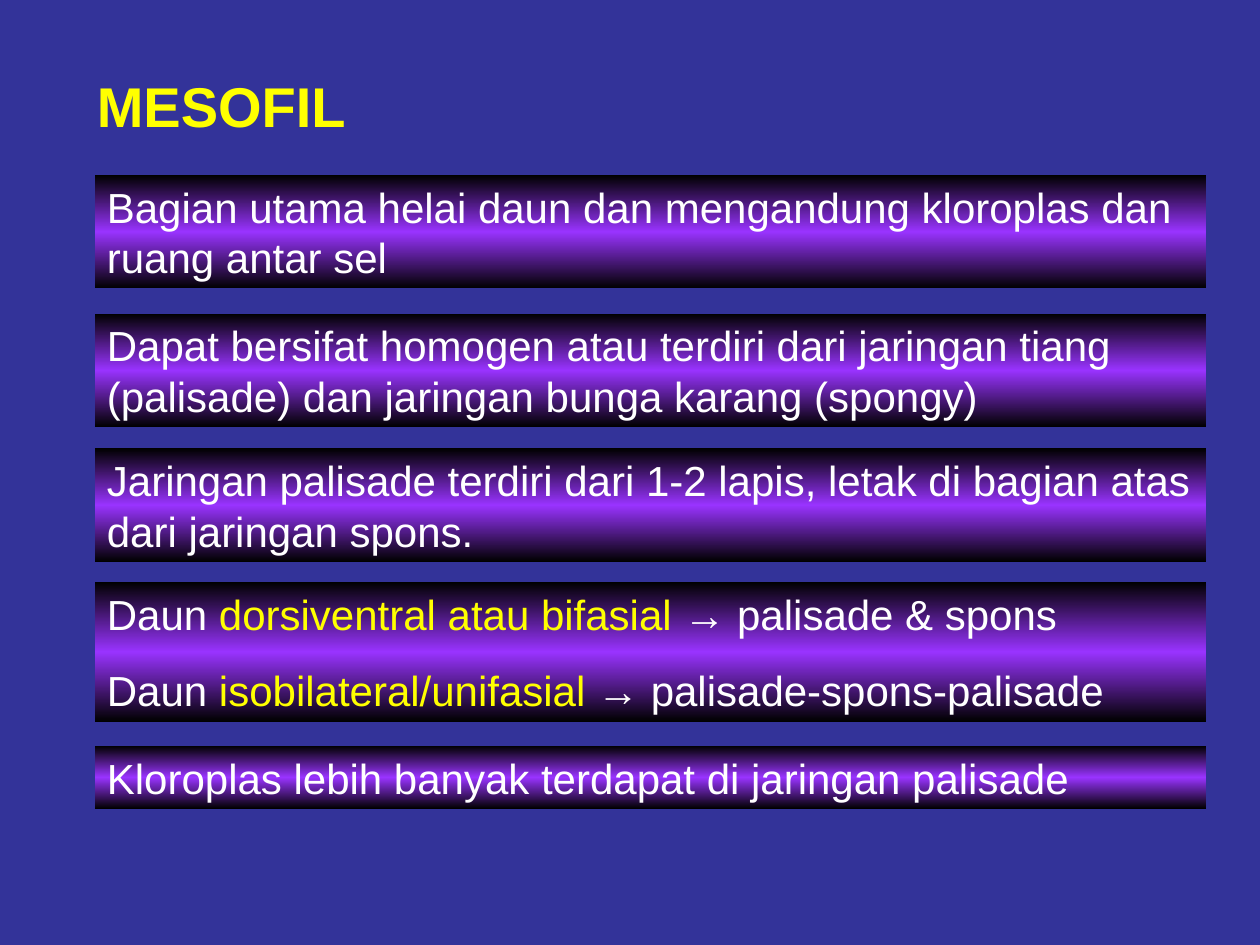
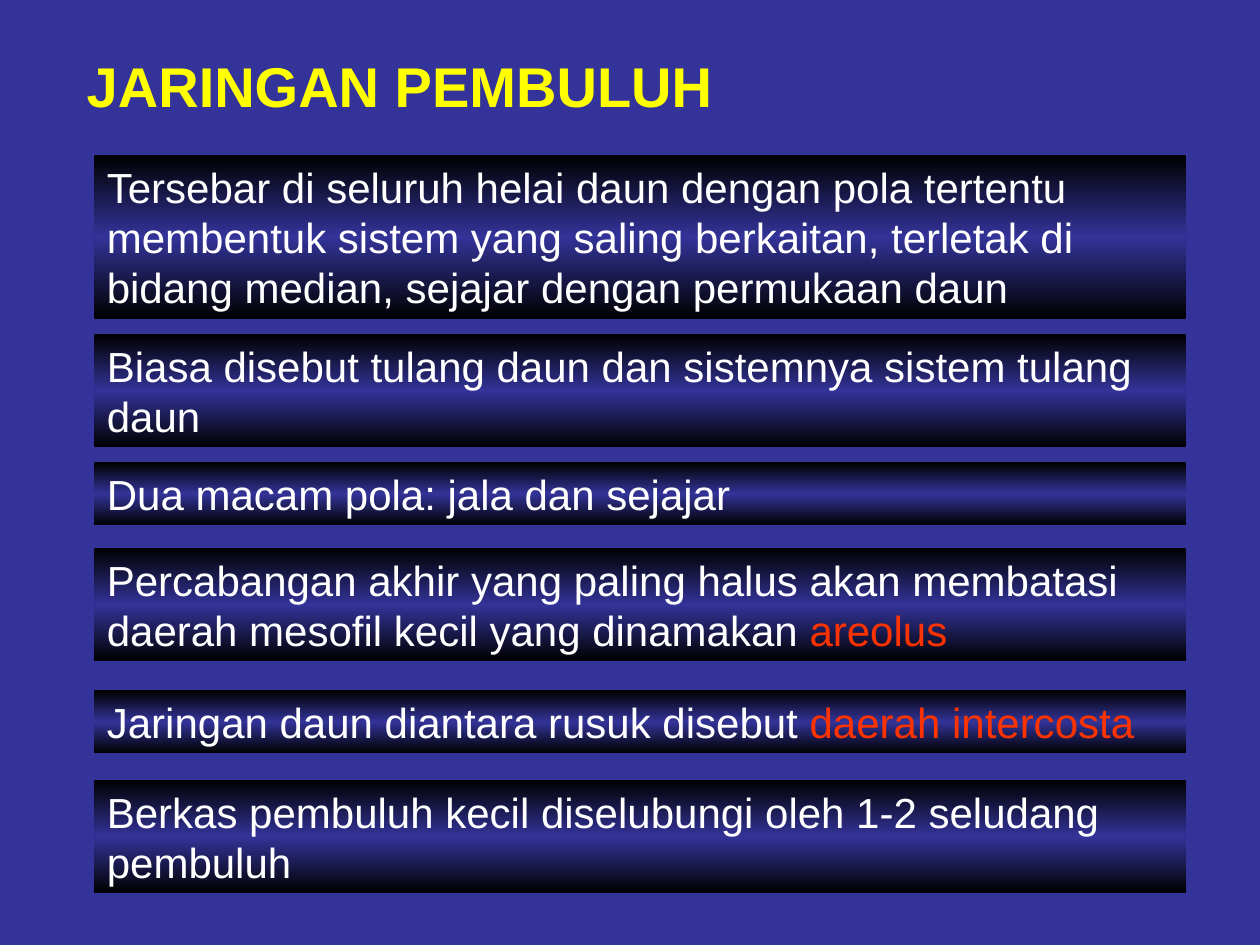
from copy import deepcopy
from dataclasses import dataclass

from pptx import Presentation
from pptx.dml.color import RGBColor
from pptx.enum.shapes import MSO_SHAPE
from pptx.enum.text import MSO_ANCHOR, MSO_AUTO_SIZE, PP_ALIGN
from pptx.oxml.ns import qn
from pptx.util import Inches, Pt

RECTANGLE = MSO_SHAPE.RECTANGLE
TOP = MSO_ANCHOR.TOP
LEFT = PP_ALIGN.LEFT
GROW = MSO_AUTO_SIZE.SHAPE_TO_FIT_TEXT


@dataclass(frozen=True)
class Theme:
    font: str = "Arial"
    background: RGBColor = RGBColor(0x33, 0x33, 0x99)
    yellow: RGBColor = RGBColor(0xFF, 0xFF, 0x00)
    white: RGBColor = RGBColor(0xFF, 0xFF, 0xFF)
    black: RGBColor = RGBColor(0x00, 0x00, 0x00)
    violet: RGBColor = RGBColor(0x99, 0x33, 0xFF)
    red: RGBColor = RGBColor(0xFF, 0x33, 0x00)
    title_size: Pt = Pt(32)
    body_size: Pt = Pt(24)
    paragraph_gap: Pt = Pt(15)


theme = Theme()
BAND_LEFT = 0.75
LINE_HEIGHT = 0.4
BAND_PADDING = 0.1

# Each band: top, number of text lines it is high, paragraphs.
# Words between bars take the accent colour.
topics = [
    {
        "title": "MESOFIL", "title_at": (0.67, 0.52, 3.7, 0.64),
        "band_width": 8.82, "glow": theme.violet, "accent": theme.yellow,
        "bands": [
            (1.39, 2, ["Bagian utama helai daun dan mengandung kloroplas dan ruang antar sel"]),
            (2.49, 2, ["Dapat bersifat homogen atau terdiri dari jaringan tiang (palisade) "
                       "dan jaringan bunga karang (spongy)"]),
            (3.56, 2, ["Jaringan palisade terdiri dari 1-2 lapis, letak di bagian atas "
                       "dari jaringan spons."]),
            (4.62, 2, ["Daun |dorsiventral atau bifasial |→ palisade & spons",
                       "Daun |isobilateral/unifasial |→ palisade-spons-palisade"]),
            (5.92, 1, ["Kloroplas lebih banyak terdapat di jaringan palisade"]),
        ],
    },
    {
        "title": "JARINGAN PEMBULUH", "title_at": (0.59, 0.36, 5.36, 0.64),
        "band_width": 8.66, "glow": theme.background, "accent": theme.red,
        "bands": [
            (1.23, 3, ["Tersebar di seluruh helai daun dengan pola tertentu membentuk sistem "
                       "yang saling berkaitan, terletak di bidang median, sejajar dengan "
                       "permukaan daun"]),
            (2.65, 2, ["Biasa disebut tulang daun dan sistemnya sistem tulang daun"]),
            (3.67, 1, ["Dua macam pola: jala dan sejajar"]),
            (4.35, 2, ["Percabangan akhir yang paling halus akan membatasi daerah mesofil "
                       "kecil yang dinamakan |areolus"]),
            (5.48, 1, ["Jaringan daun diantara rusuk disebut |daerah intercosta"]),
            (6.19, 2, ["Berkas pembuluh kecil diselubungi oleh 1-2 seludang pembuluh"]),
        ],
    },
]


def fill_with_glow(band, glow):
    """Fade from black to the glow colour and back, top to bottom."""
    band.fill.gradient()
    band.fill.gradient_angle = 90
    stop_list = band._element.spPr.find(".//" + qn("a:gsLst"))
    stop_list.append(deepcopy(stop_list[-1]))
    colours = (theme.black, glow, theme.black)
    for stop, position, colour in zip(band.fill.gradient_stops, (0, 0.5, 1), colours):
        stop.position = position
        stop.color.rgb = colour


def write_text(frame, paragraphs, size, colour, accent, bold=False):
    frame.word_wrap = True
    frame.auto_size = GROW
    frame.vertical_anchor = TOP
    for index, marked_text in enumerate(paragraphs):
        paragraph = frame.paragraphs[0] if index == 0 else frame.add_paragraph()
        paragraph.alignment = LEFT
        if index:
            paragraph.space_before = theme.paragraph_gap
        for part, words in enumerate(marked_text.split("|")):
            run = paragraph.add_run()
            run.text = words
            run.font.name = theme.font
            run.font.size = size
            run.font.bold = bold
            run.font.color.rgb = accent if part % 2 else colour


deck = Presentation()
deck.slide_width, deck.slide_height = Inches(10), Inches(7.5)
blank_layout = deck.slide_layouts[6]

for topic in topics:
    slide = deck.slides.add_slide(blank_layout)
    slide.background.fill.solid()
    slide.background.fill.fore_color.rgb = theme.background

    # Title
    title = slide.shapes.add_textbox(*map(Inches, topic["title_at"]))
    write_text(title.text_frame, [topic["title"]], theme.title_size,
               theme.yellow, theme.yellow, bold=True)

    # Gradient bands, as high as their lines and paragraph gaps
    for top, lines, paragraphs in topic["bands"]:
        gaps = theme.paragraph_gap.inches * (len(paragraphs) - 1)
        height = lines * LINE_HEIGHT + gaps + BAND_PADDING
        band = slide.shapes.add_shape(RECTANGLE, Inches(BAND_LEFT), Inches(top),
                                      Inches(topic["band_width"]), Inches(height))
        band.shadow.inherit = False
        band.line.fill.background()
        fill_with_glow(band, topic["glow"])
        write_text(band.text_frame, paragraphs, theme.body_size,
                   theme.white, topic["accent"])

deck.save("out.pptx")
